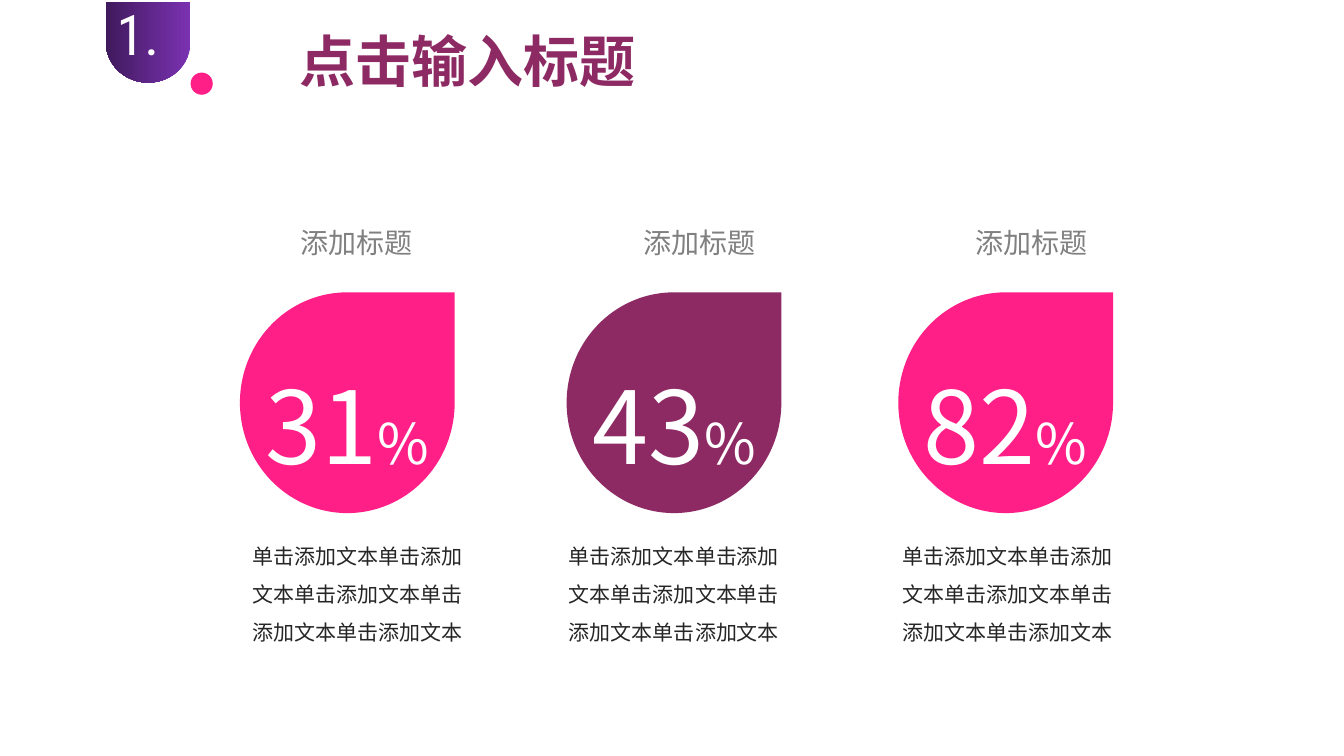
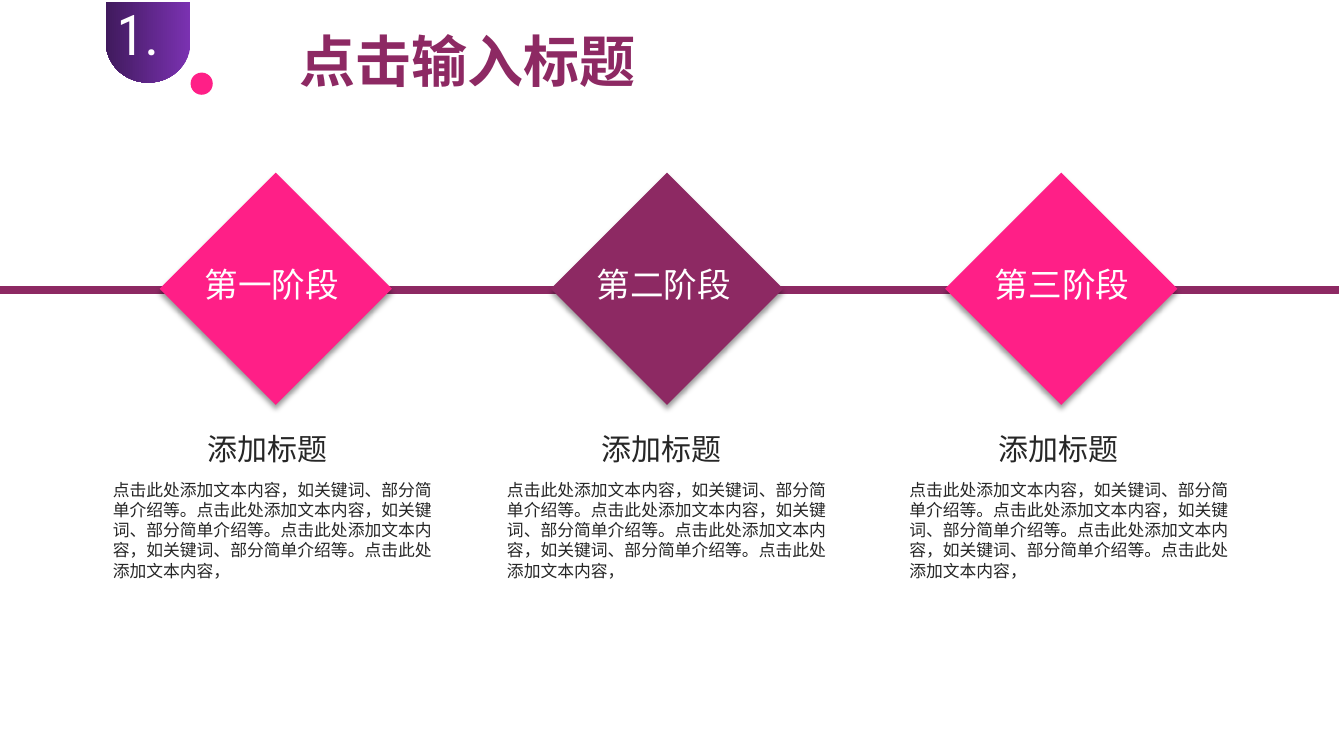
from lxml import etree
from pptx import Presentation
from pptx.dml.color import RGBColor
from pptx.enum import shapes, text
from pptx.oxml.ns import qn
from pptx.util import Inches, Pt

HUE = {"plum": "8D2963", "pink": "FF1F87", "violet": "7B32B2", "night": "401A5D",
       "white": "FFFFFF", "gray": "808080", "ink": "262626"}
CJK = "Noto Sans CJK SC"
KIND = shapes.MSO_SHAPE
LEFT, MID = text.PP_ALIGN.LEFT, text.PP_ALIGN.CENTER


def rgb(name):
    return RGBColor.from_string(HUE[name])


def write(frame, lines, hue, align=LEFT, face=CJK, bold=False, lead=1.2):
    """Fill a frame; each line is a list of (words, size) runs."""
    frame.word_wrap = True
    frame.vertical_anchor = text.MSO_ANCHOR.TOP
    for i, line in enumerate(lines):
        para = frame.add_paragraph() if i else frame.paragraphs[0]
        para.alignment = align
        para.line_spacing = Pt(lead * line[0][1])
        for words, size in line:
            run = para.add_run()
            run.text = words
            font = run.font
            font.size, font.bold, font.name = Pt(size), bold, face
            font.color.rgb = rgb(hue)
            etree.SubElement(run._r.get_or_add_rPr(), qn("a:ea"), typeface=CJK)


deck = Presentation()
deck.slide_width, deck.slide_height = Inches(13.33), Inches(7.5)
rates, steps = [deck.slides.add_slide(deck.slide_layouts[6]) for _ in range(2)]


def box(slide, x, y, w, h, kind=None, hue=None):
    """Add a text box, or a plain shape when a kind is given."""
    spot = [Inches(v) for v in (x, y, w, h)]
    if kind is None:
        return slide.shapes.add_textbox(*spot)
    shape = slide.shapes.add_shape(kind, *spot)
    shape.shadow.inherit = False
    shape.line.fill.background()
    if hue:
        shape.fill.solid()
        shape.fill.fore_color.rgb = rgb(hue)
    return shape


# Shared header: title, number badge, dot
for slide in (rates, steps):
    title = box(slide, 2.87, 0.21, 3.73, 0.77)
    write(title.text_frame, [[("点击输入标题", 40)]], "plum", bold=True)
    badge = box(slide, 1.07, 0, 0.8, 0.84, KIND.FLOWCHART_DELAY)
    badge.rotation = 90
    badge.fill.gradient()
    badge.fill.gradient_angle = 270
    for stop, hue in zip(badge.fill.gradient_stops, ("violet", "night")):
        stop.color.rgb = rgb(hue)
    number = box(slide, 1.06, -0.05, 0.73, 0.77)
    write(number.text_frame, [[("1.", 40)]], "white", face="Roboto Condensed")
    box(slide, 1.89, 0.72, 0.22, 0.22, KIND.OVAL, "pink")

# Slide 1: three drops with a rate, a label above and a note below
NOTE = ["单击添加文本单击添加", "文本单击添加文本单击", "添加文本单击添加文本"]
for rate, hue, drop_x, label_x, note_x in [
        ("31", "pink", 2.38, 2.88, 2.39),
        ("43", "plum", 5.62, 6.28, 5.53),
        ("82", "pink", 8.91, 9.57, 8.84)]:
    drop = box(rates, drop_x, 2.9, 2.13, 2.19, KIND.TEAR, hue)
    frame = drop.text_frame
    frame.margin_left = frame.margin_right = frame.margin_bottom = 0
    frame.margin_top = Inches(0.39)
    write(frame, [[(rate, 72), ("%", 40)]], "white", MID)
    frame.word_wrap = False
    label = box(rates, label_x, 2.19, 1.32, 0.44)
    write(label.text_frame, [[("添加标题", 20)]], "gray", MID)
    note = box(rates, note_x, 5.22, 2.31, 1.23)
    write(note.text_frame, [[(row, 15)] for row in NOTE], "ink", MID, lead=1.8)

# Slide 2: a bar with three diamonds, each with a heading and a text
bar = box(steps, -0.05, 2.84, 13.33, 0.07, KIND.RECTANGLE, "plum")
bar.line.color.rgb = rgb("plum")
bar.line.width = Pt(0.75)
BODY = "点击此处添加文本内容，如关键词、部分简单介绍等。" * 3 + "点击此处添加文本内容，"
for stage, hue, gem_x, name_x, head_x, body_x in [
        ("第一阶段", "pink", 1.92, 1.93, 1.96, 1.02),
        ("第二阶段", "plum", 5.8, 5.82, 5.87, 4.93),
        ("第三阶段", "pink", 9.71, 9.77, 9.81, 8.92)]:
    gem = box(steps, gem_x, 2.05, 1.63, 1.63, KIND.RECTANGLE, hue)
    gem.rotation = 45
    # Soft shadow straight below
    glow = gem._element.spPr.find(qn("a:effectLst"))
    cast = etree.SubElement(glow, qn("a:outerShdw"), blurRad=str(Pt(4)),
                            dist=str(Pt(3)), dir="5400000", rotWithShape="0")
    tint = etree.SubElement(cast, qn("a:srgbClr"), val="000000")
    etree.SubElement(tint, qn("a:alpha"), val="40000")
    name = box(steps, name_x, 2.57, 1.76, 0.5)
    write(name.text_frame, [[(stage, 24)]], "white", face="Arial")
    head = box(steps, head_x, 4.22, 1.64, 0.47)
    write(head.text_frame, [[("添加标题", 21.4)]], "ink")
    body = box(steps, body_x, 4.71, 3.45, 1.11)
    write(body.text_frame, [[(BODY, 12)]], "ink")

deck.save("out.pptx")
